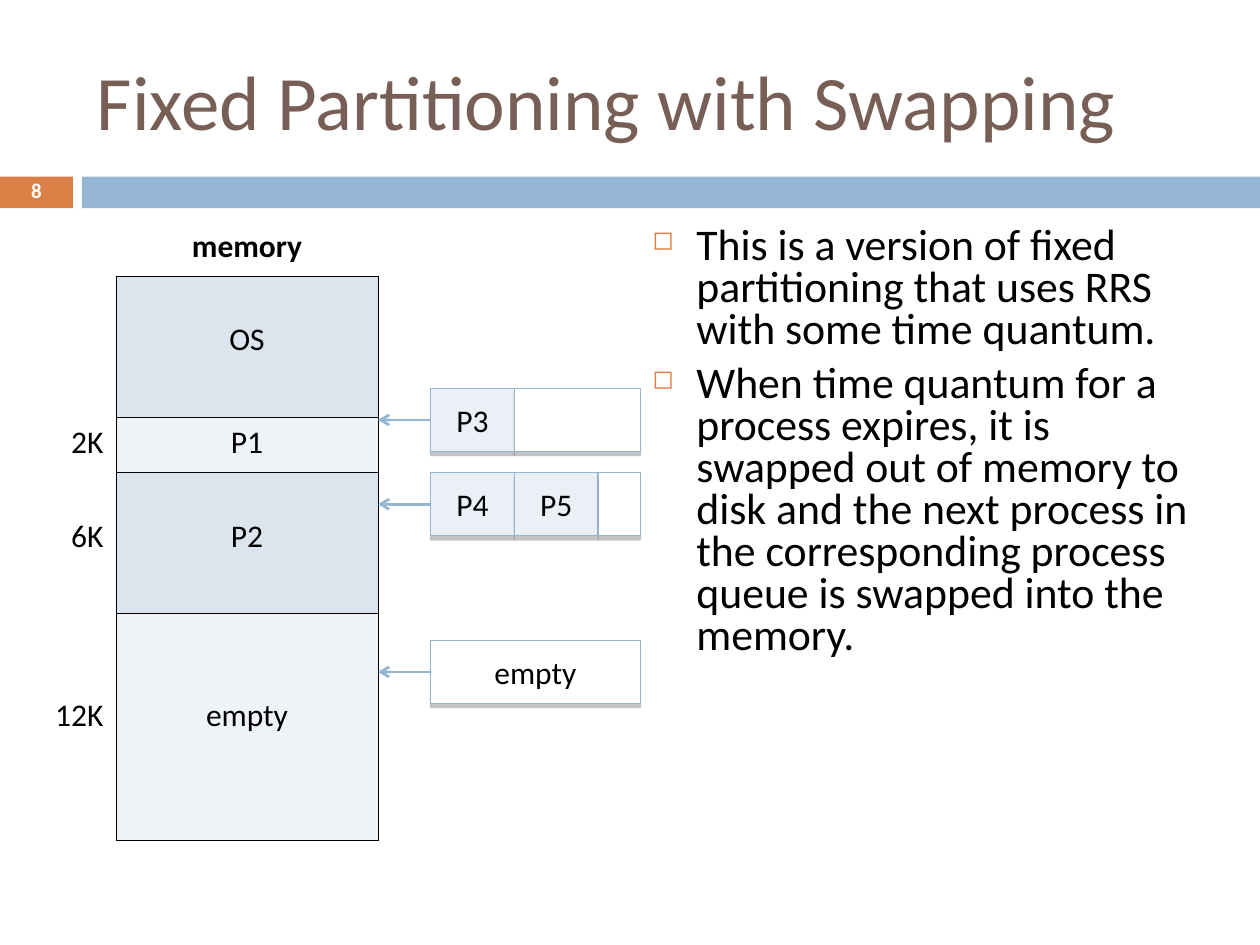
import dataclasses
import pptx
import pptx.dml.color
import pptx.enum.shapes
import pptx.enum.text
import pptx.oxml
import pptx.oxml.ns
import pptx.util

Cm = pptx.util.Cm
Pt = pptx.util.Pt
ALIGN = pptx.enum.text.PP_ALIGN
ANCHOR = pptx.enum.text.MSO_ANCHOR
NAMESPACE = pptx.oxml.ns.nsdecls("a")


@dataclasses.dataclass
class Theme:
    font: str = "Calibri"
    title_size: float = 44
    body_size: float = 25
    label_size: float = 18
    number_size: float = 12
    title: str = "775F55"
    text: str = "000000"
    white: str = "FFFFFF"
    orange: str = "DD8047"
    blue: str = "94B6D2"
    process: str = "EAF0F6"
    dark_band: str = "DCE5EE"
    light_band: str = "EFF3F7"
    shadow: str = "808080"


def color(value):
    return pptx.dml.color.RGBColor.from_string(value)


def apply(target, values):
    for name, value in values.items():
        setattr(target, name, value)


def element(markup):
    head, mark, rest = markup.partition(" ")
    return pptx.oxml.parse_xml(f"{head} {NAMESPACE} {rest}")


class Page:
    def __init__(self, deck, theme):
        self.theme = theme
        self.slide = deck.slides.add_slide(deck.slide_layouts[5])
        self.shapes = self.slide.shapes

    def add_span(self, para, text, size, ink=None, bold=False, align=ALIGN.LEFT):
        para.alignment = align
        span = para.add_run()
        span.text = text
        apply(span.font, {"name": self.theme.font, "size": Pt(size), "bold": bold})
        span.font.color.rgb = color(ink or self.theme.text)

    def title(self, text, left, top, width, height):
        box = self.shapes.title
        apply(box, {"left": Cm(left), "top": Cm(top), "width": Cm(width), "height": Cm(height)})
        apply(box.text_frame, {
            "word_wrap": True,
            "vertical_anchor": ANCHOR.MIDDLE,
            "auto_size": pptx.enum.text.MSO_AUTO_SIZE.NONE,
        })
        self.add_span(box.text_frame.paragraphs[0], text, self.theme.title_size, self.theme.title)

    def rectangle(self, left, top, width, height, fill, outline=None, text=""):
        box = self.shapes.add_shape(
            pptx.enum.shapes.MSO_SHAPE.RECTANGLE, Cm(left), Cm(top), Cm(width), Cm(height))
        box.shadow.inherit = False
        box.fill.solid()
        box.fill.fore_color.rgb = color(fill)
        if outline:
            box.line.color.rgb = color(outline)
            box.line.width = Pt(0.79)
        else:
            box.line.fill.background()
        if text:
            box.text_frame.vertical_anchor = ANCHOR.MIDDLE
            para = box.text_frame.paragraphs[0]
            self.add_span(para, text, self.theme.label_size, align=ALIGN.CENTER)
        return box

    def queue_slot(self, left, top, width, height, fill, text):
        box = self.rectangle(left, top, width, height, fill, self.theme.blue, text)
        effects = box._element.spPr.find(pptx.oxml.ns.qn("a:effectLst"))
        effects.append(element(
            f'<a:outerShdw blurRad="0" dist="{Pt(2.4)}" dir="5400000" algn="ctr" rotWithShape="0">'
            f'<a:srgbClr val="{self.theme.shadow}"><a:alpha val="45000"/></a:srgbClr></a:outerShdw>'))

    def arrow(self, start, end, top):
        line = self.shapes.add_connector(
            pptx.enum.shapes.MSO_CONNECTOR.STRAIGHT, Cm(start), Cm(top), Cm(end), Cm(top))
        line.line.color.rgb = color(self.theme.blue)
        line.line.width = Pt(1.5)
        outline = line._element.spPr.find(pptx.oxml.ns.qn("a:ln"))
        outline.append(element('<a:tailEnd type="arrow"/>'))
        line._element.spPr.append(element("<a:effectLst />"))

    def text_box(self, left, top, width, height, anchor=ANCHOR.TOP):
        box = self.shapes.add_textbox(Cm(left), Cm(top), Cm(width), Cm(height))
        apply(box.text_frame, {"word_wrap": True, "vertical_anchor": anchor})
        return box.text_frame

    def number(self, text, left, top, width, height):
        para = self.text_box(left, top, width, height, ANCHOR.MIDDLE).paragraphs[0]
        para.line_spacing = 0.8
        self.add_span(para, text, self.theme.number_size, self.theme.white, True, ALIGN.CENTER)

    def bullets(self, texts, left, top, width, height):
        frame = self.text_box(left, top, width, height)
        for index, text in enumerate(texts):
            para = frame.add_paragraph() if index else frame.paragraphs[0]
            properties = para._p.get_or_add_pPr()
            properties.set("marL", str(Cm(0.89)))
            properties.set("indent", str(-Cm(0.89)))
            for markup in (
                f'<a:buClr ><a:srgbClr val="{self.theme.orange}"/></a:buClr>',
                '<a:buSzPct val="60000"/>',
                '<a:buChar char="◻"/>',
            ):
                properties.append(element(markup))
            para.line_spacing = 0.8
            if index:
                para.space_before = Pt(7)
            self.add_span(para, text, self.theme.body_size)

    def cell(self, cell, text, fill, borders, lines_above=0, bold=False, align=ALIGN.CENTER):
        cell.fill.solid()
        cell.fill.fore_color.rgb = color(fill)
        cell.margin_top = Cm(0.13 + 0.77 * lines_above)
        if text:
            para = cell.text_frame.paragraphs[0]
            self.add_span(para, text, self.theme.label_size, bold=bold, align=align)
        for index, (side, ink) in enumerate(zip("LRTB", borders)):
            cell._tc.get_or_add_tcPr().insert(index, element(
                f'<a:ln{side} w="{Pt(0.45)}"><a:solidFill><a:srgbClr val="{ink}"/>'
                f'</a:solidFill></a:ln{side}>'))

    def memory_table(self, partitions, left, top, widths, heights):
        frame = self.shapes.add_table(
            len(heights), len(widths), Cm(left), Cm(top), Cm(sum(widths)), Cm(sum(heights)))
        table = frame.table
        apply(table, {"first_row": False, "horz_banding": False})
        for column, width in zip(table.columns, widths):
            column.width = Cm(width)
        for row, height in zip(table.rows, heights):
            row.height = Cm(height)
        white, black = self.theme.white, self.theme.text
        self.cell(table.cell(0, 0), "", white, [white] * 4)
        self.cell(table.cell(0, 1), "memory", white, [white, white, white, black], bold=True)
        bands = (self.theme.dark_band, self.theme.light_band)
        for index, (size, name, lines_above) in enumerate(partitions):
            self.cell(table.cell(index + 1, 0), size, white, [white, black, white, white],
                      lines_above, align=ALIGN.RIGHT)
            self.cell(table.cell(index + 1, 1), name, bands[index % 2], [black] * 4, lines_above)

    def queue(self, slots, left, top, height, target):
        self.arrow(left, target, top + height / 2)
        for name, width in slots:
            fill = self.theme.process if name.startswith("P") else self.theme.white
            self.queue_slot(left, top, width, height, fill, name)
            left += width


def main():
    theme = Theme()
    deck = pptx.Presentation()
    apply(deck, {"slide_width": Cm(25.4), "slide_height": Cm(19.05)})
    page = Page(deck, theme)
    page.rectangle(0, 3.56, 1.47, 0.64, theme.orange)
    page.rectangle(1.65, 3.56, 23.75, 0.64, theme.blue)
    page.title("Fixed Partitioning with Swapping", 1.7, 0.64, 22.66, 2.74)
    page.bullets([
        "This is a version of fixed partitioning that uses RRS with some time quantum.",
        "When time quantum for a process expires, it is swapped out of memory to disk and "
        "the next process in the corresponding process queue is swapped into the memory.",
    ], 12.9, 4.45, 11.43, 12.5)
    page.memory_table(
        [("", "OS", 1), ("2K", "P1", 0), ("6K", "P2", 1), ("12K", "empty", 2)],
        0, 4.45, [2.34, 5.28], [1.12, 2.84, 1.12, 2.84, 4.57])
    process, total = 1.69, 4.23
    queues = {
        7.83: [("P3", process), ("", total - process)],
        9.53: [("P4", process), ("P5", process), ("", total - 2 * process)],
        12.91: [("empty", total)],
    }
    for top, slots in queues.items():
        page.queue(slots, 8.68, top, 1.27, 7.62)
    page.number("8", 0, 3.53, 1.47, 0.69)
    deck.save("out.pptx")


if __name__ == "__main__":
    main()
